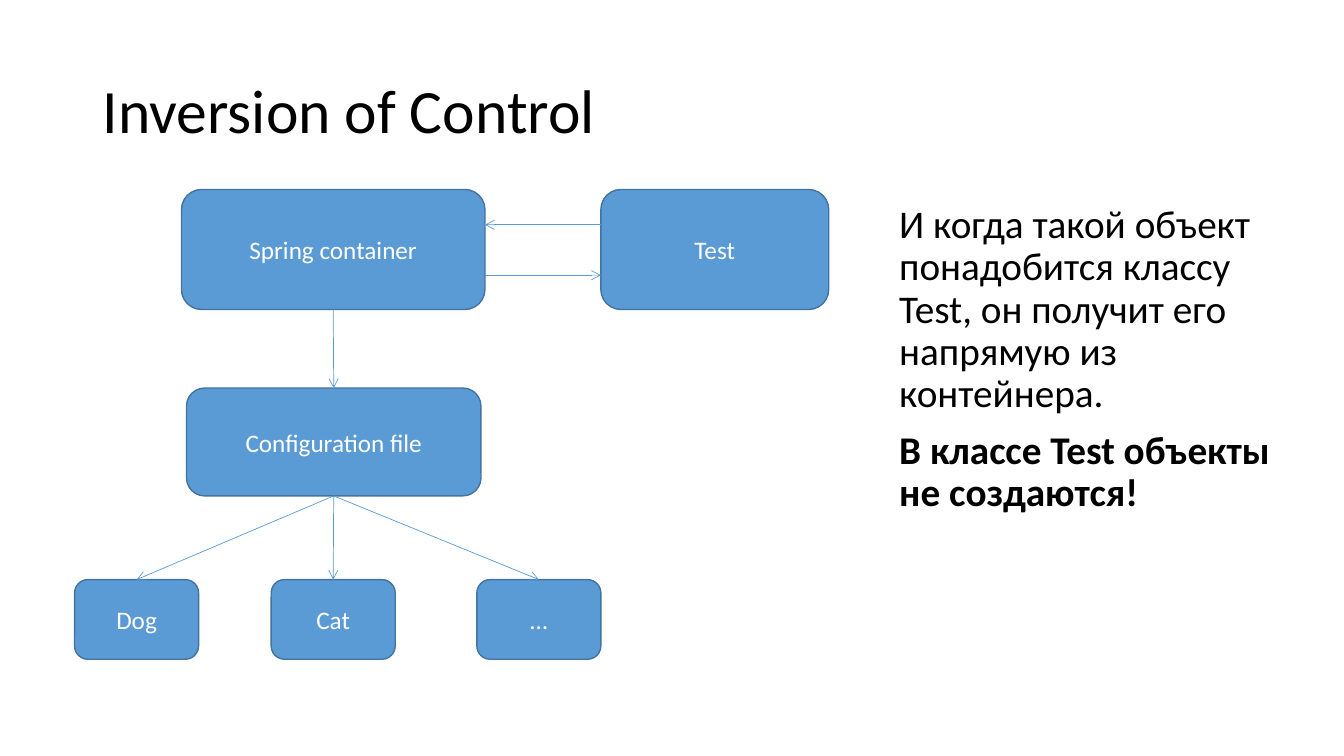
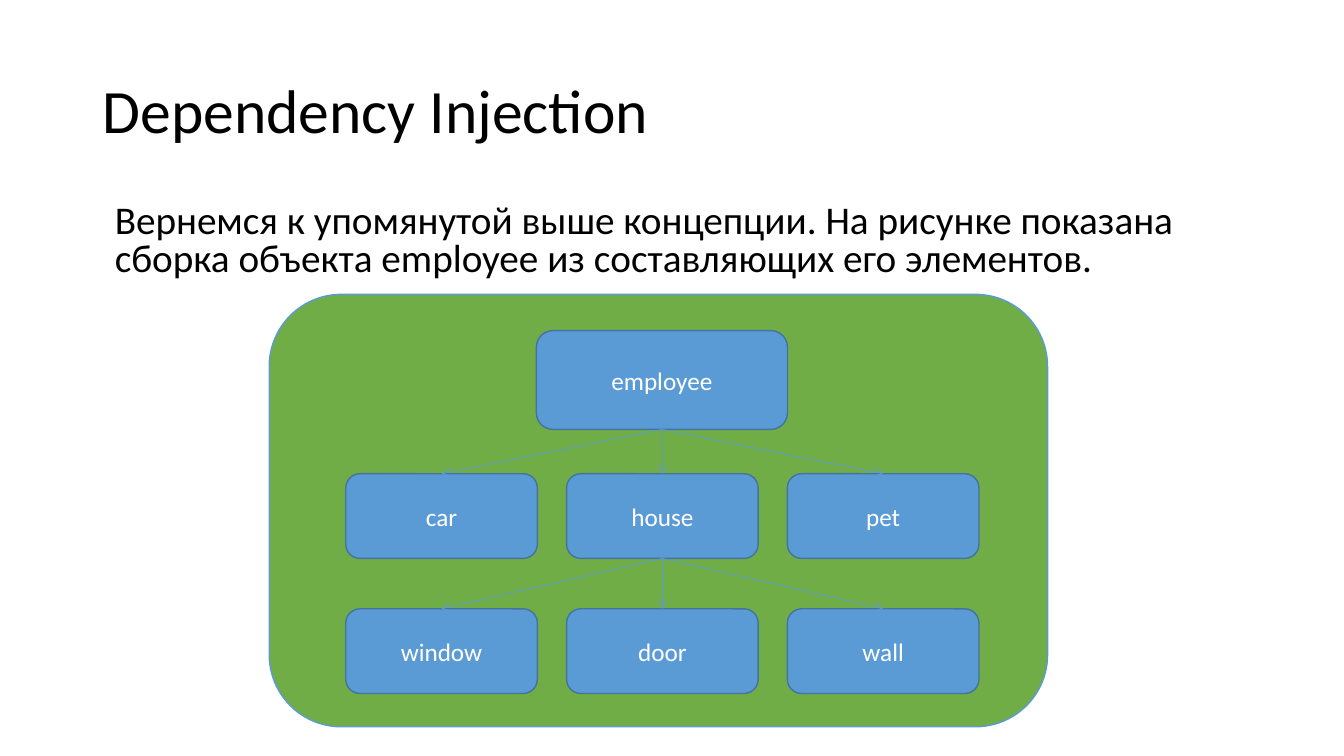
from lxml import etree
from pptx import Presentation
from pptx.dml.color import RGBColor
from pptx.enum.shapes import MSO_CONNECTOR, MSO_SHAPE
from pptx.enum.text import MSO_ANCHOR, PP_ALIGN
from pptx.oxml.ns import qn
from pptx.util import Inches, Pt

ROUNDED = MSO_SHAPE.ROUNDED_RECTANGLE
STRAIGHT = MSO_CONNECTOR.STRAIGHT
TOP, MIDDLE = MSO_ANCHOR.TOP, MSO_ANCHOR.MIDDLE
CENTER = PP_ALIGN.CENTER
TOP_SITE, BOTTOM_SITE = 0, 2

FONT = "Calibri"
COLORS = {
    "text": "000000",
    "node_text": "FFFFFF",
    "node": "5B9BD5",
    "node_edge": "43739E",
    "arrow": "5B9BD5",
    "panel": "70AD47",
    "panel_edge": "5B9BD5",
}


def color(name):
    return RGBColor.from_string(COLORS[name])


def style_runs(paragraph, size, color_name, bold=False):
    for run in paragraph.runs:
        run.font.name = FONT
        run.font.size = Pt(size)
        run.font.bold = bold
        run.font.color.rgb = color(color_name)


def add_text(slide, box, paragraphs, size, spacing, before=0, anchor=TOP):
    """Write (text, bold) paragraphs into a wrapping text box."""
    frame = slide.shapes.add_textbox(*map(Inches, box)).text_frame
    frame.word_wrap = True
    frame.vertical_anchor = anchor
    for index, (text, bold) in enumerate(paragraphs):
        paragraph = frame.add_paragraph() if index else frame.paragraphs[0]
        paragraph.text = text
        paragraph.line_spacing = spacing
        paragraph.space_before = Pt(before)
        style_runs(paragraph, size, "text", bold)


def add_titled_slide(prs, title):
    slide = prs.slides.add_slide(prs.slide_layouts[6])
    add_text(slide, (0.92, 0.4, 11.5, 1.45), [(title, False)], 44, 0.9, anchor=MIDDLE)
    return slide


def add_rounded(slide, box, fill, edge):
    shape = slide.shapes.add_shape(ROUNDED, *map(Inches, box))
    shape.shadow.inherit = False
    shape.fill.solid()
    shape.fill.fore_color.rgb = color(fill)
    shape.line.color.rgb = color(edge)
    shape.line.width = Pt(1)
    return shape


def add_node(slide, label, *box):
    node = add_rounded(slide, box, "node", "node_edge")
    frame = node.text_frame
    frame.text = label
    frame.word_wrap = True
    frame.vertical_anchor = MIDDLE
    frame.paragraphs[0].alignment = CENTER
    style_runs(frame.paragraphs[0], 18, "node_text")
    return node


def add_row(slide, labels, lefts, top, width, height):
    return [add_node(slide, label, left, top, width, height)
            for label, left in zip(labels, lefts)]


def add_arrow(slide, start=(0, 0), end=(0, 0)):
    arrow = slide.shapes.add_connector(STRAIGHT, *map(Inches, (*start, *end)))
    arrow.line.color.rgb = color("arrow")
    arrow.line.width = Pt(0.5)
    etree.SubElement(arrow.line._get_or_add_ln(), qn("a:tailEnd"), type="arrow")
    etree.SubElement(arrow._element.spPr, qn("a:effectLst"))
    return arrow


def link_down(slide, parent, children):
    """Point an arrow from the parent's bottom to each child's top."""
    for child in children:
        arrow = add_arrow(slide)
        arrow.begin_connect(parent, BOTTOM_SITE)
        arrow.end_connect(child, TOP_SITE)


def build_inversion_of_control(prs):
    slide = add_titled_slide(prs, "Inversion of Control")
    add_text(slide, (8.82, 1.98, 4.22, 4.22), [
        ("И когда такой объект понадобится классу Test, "
         "он получит его напрямую из контейнера.", False),
        ("В классе Test объекты не создаются!", True),
    ], 28, 0.9, before=10)

    container = add_node(slide, "Spring container", 1.8, 1.88, 3.01, 1.19)
    add_node(slide, "Test", 5.96, 1.88, 2.26, 1.19)
    configuration = add_node(slide, "Configuration file", 1.85, 3.85, 2.92, 1.07)
    beans = add_row(slide, ("Dog", "Cat", "…"), (0.74, 2.69, 4.73), 5.75, 1.23, 0.79)

    link_down(slide, container, [configuration])
    link_down(slide, configuration, beans)
    add_arrow(slide, (5.96, 2.23), (4.81, 2.23))
    add_arrow(slide, (4.81, 2.73), (5.96, 2.73))


def build_dependency_injection(prs):
    slide = add_titled_slide(prs, "Dependency Injection")
    add_text(slide, (1.04, 1.98, 11.21, 0.93), [
        ("Вернемся к упомянутой выше концепции. На рисунке показана "
         "сборка объекта employee из составляющих его элементов.", False),
    ], 28, 0.8, before=10)

    add_rounded(slide, (2.67, 2.92, 7.72, 4.29), "panel", "panel_edge")
    lefts = [3.43 + 2.19 * column for column in range(3)]
    employee = add_node(slide, "employee", 5.32, 3.28, 2.49, 0.98)
    belongings = add_row(slide, ("car", "house", "pet"), lefts, 4.7, 1.9, 0.84)
    house_parts = add_row(slide, ("window", "door", "wall"), lefts, 6.04, 1.9, 0.84)

    link_down(slide, employee, belongings)
    link_down(slide, belongings[1], house_parts)


def main():
    prs = Presentation()
    prs.slide_width, prs.slide_height = Inches(13.33), Inches(7.5)
    build_inversion_of_control(prs)
    build_dependency_injection(prs)
    prs.save("out.pptx")


if __name__ == "__main__":
    main()
